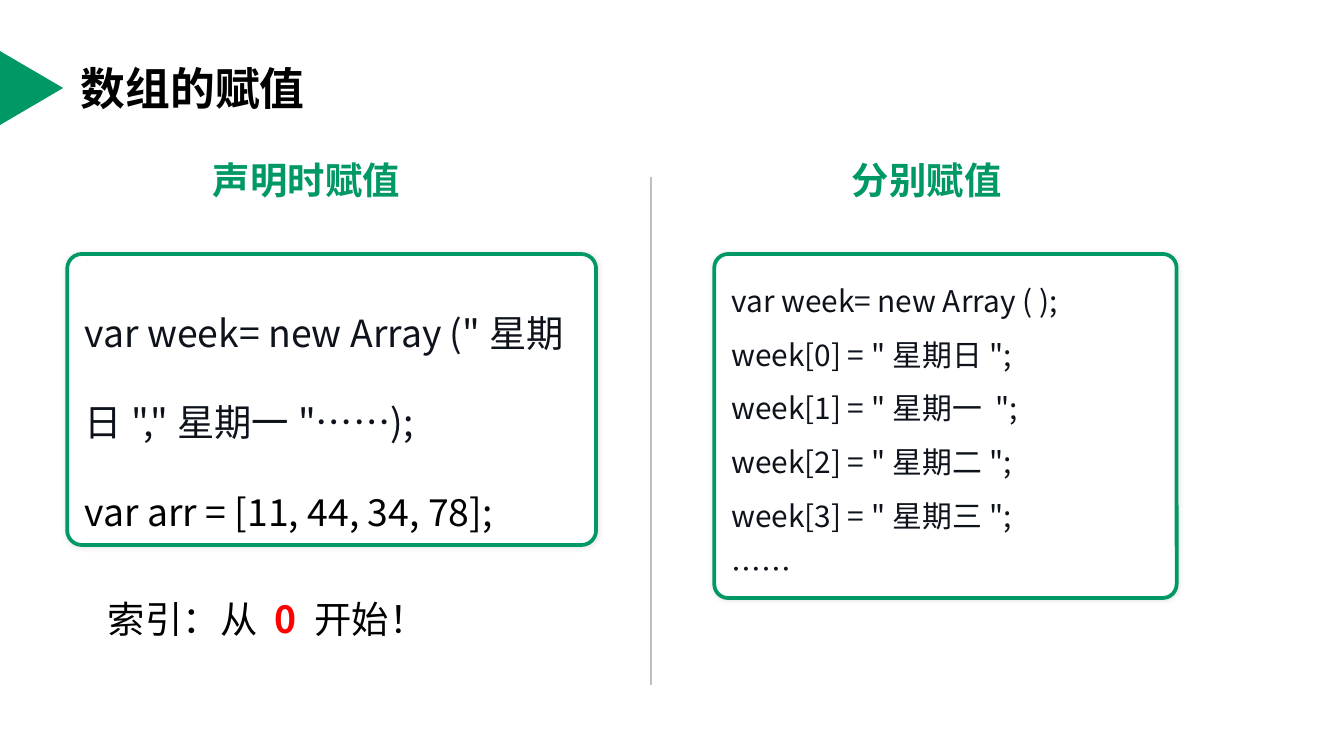
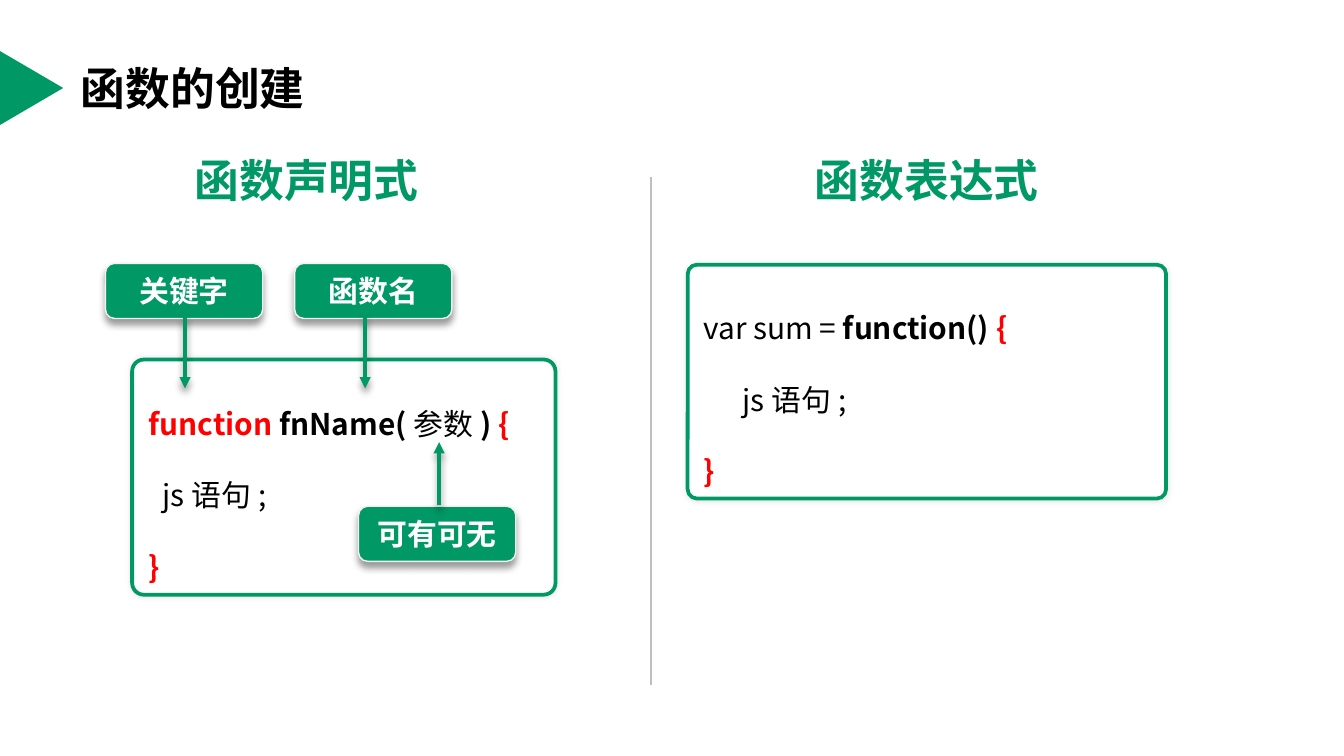
from dataclasses import dataclass
from typing import NamedTuple

from lxml import etree
from pptx import Presentation
from pptx import util as u
from pptx.dml.color import RGBColor
from pptx.enum import shapes, text
from pptx.oxml.ns import qn

HUES = {"green": "009966", "gray": "BFBFBF", "pale": "F2F2F2", "white": "FFFFFF",
        "black": "000000", "ink": "0D121B", "red": "FF0000"}
SANS, ARIAL = "Noto Sans CJK SC", "Arial"
LEFT, MID = text.PP_ALIGN.LEFT, text.PP_ALIGN.CENTER
ROUND = shapes.MSO_SHAPE.ROUNDED_RECTANGLE

deck = Presentation()
deck.slide_width = u.Inches(10)
deck.slide_height = deck.slide_width * 9 // 16
UNIT = deck.slide_width / 100  # the grid: 100 columns, with rows just as high


class Area(NamedTuple):
    """A place on the grid, in columns and rows."""
    col: float
    row: float
    wide: float
    high: float


class Span(NamedTuple):
    """A stretch of text in one colour and weight."""
    words: str
    hue: str = "black"
    bold: bool = False


class Shade(NamedTuple):
    """A drop shadow: blur and distance in points, strength in percent."""
    blur: float
    dist: float
    alpha: int


@dataclass
class Line:
    """A paragraph: its spans and its left margin in columns."""
    spans: list[Span]
    inset: float = 0


@dataclass
class Code:
    """A framed block of code."""
    area: Area
    lines: list[Line]
    size: int = 16
    pitch: float = 2
    curve: float = 0.05


@dataclass
class Tag:
    """A label and the arrow that leads from it."""
    words: str
    col: float
    row: float
    shaft: float  # column of the arrow
    start: float
    end: float


GLOW, DROP = Shade(3, 0, 10), Shade(4, 3, 40)
TITLE = Area(5, 3.85, 44.2, 5.3)
HEADS = [Area(col, 11, 31.5, 4.7) for col in (7.05, 53.2)]
TAG_WIDE, TAG_HIGH = 11.7, 4.1


def grid(*cells: float) -> list[u.Emu]:
    """Turn grid cells into lengths."""
    return [u.Emu(round(cell * UNIT)) for cell in cells]


def tint(hue: str) -> RGBColor:
    """Look up a colour."""
    return RGBColor.from_string(HUES[hue])


def cast(shape, shade: Shade | None = None) -> None:
    """Give a shape this shadow, or none at all."""
    prop = shape._element.spPr
    for old in prop.findall(qn("a:effectLst")):
        prop.remove(old)
    fx = etree.SubElement(prop, qn("a:effectLst"))
    if shade:
        outer = etree.SubElement(fx, qn("a:outerShdw"), blurRad=str(u.Pt(shade.blur)),
                                 dist=str(u.Pt(shade.dist)), dir="5400000",
                                 algn="ctr", rotWithShape="0")
        color = etree.SubElement(outer, qn("a:srgbClr"), val=HUES["black"])
        etree.SubElement(color, qn("a:alpha"), val=str(shade.alpha * 1000))


def write(shape, lines: list[Line], size: int, align=LEFT, pitch: float = 1,
          anchor=text.MSO_ANCHOR.MIDDLE, face: str = SANS) -> None:
    """Fill a shape with formatted paragraphs."""
    frame = shape.text_frame
    frame.word_wrap = True
    frame.auto_size = text.MSO_AUTO_SIZE.NONE
    frame.vertical_anchor = anchor
    for n, line in enumerate(lines):
        para = frame.add_paragraph() if n else frame.paragraphs[0]
        prop = para._p.get_or_add_pPr()
        prop.set("marL", str(grid(line.inset)[0]))
        prop.set("indent", "0")
        etree.SubElement(prop, qn("a:buNone"))
        para.alignment, para.line_spacing = align, pitch
        para.space_before = u.Pt(0)
        para.font.size, para.font.name = u.Pt(size), face
        etree.SubElement(para.font._rPr, qn("a:ea"), typeface=face)
        for span in line.spans:
            run = para.add_run()
            run.text = span.words
            run.font.bold = span.bold
            run.font.color.rgb = tint(span.hue)


def block(slide, kind, area: Area, fill: str, edge: str | None = None,
          width: float = 1, shade: Shade | None = None, curve: float | None = None):
    """Draw a filled preset shape."""
    shape = slide.shapes.add_shape(kind, *grid(*area))
    shape.fill.solid()
    shape.fill.fore_color.rgb = tint(fill)
    if edge:
        shape.line.color.rgb = tint(edge)
        shape.line.width = u.Pt(width)
    else:
        shape.line.fill.background()
    if curve is not None:
        shape.adjustments[0] = curve
    cast(shape, shade)
    return shape


def rule(slide, col: float, top: float, end: float, hue: str, width: float,
         shade: Shade | None = None, arrow: bool = False) -> None:
    """Draw an upright line, with an arrowhead at its end if asked."""
    link = slide.shapes.add_connector(shapes.MSO_CONNECTOR.STRAIGHT,
                                      *grid(col, top, col, end))
    link.line.color.rgb = tint(hue)
    link.line.width = u.Pt(width)
    if arrow:
        etree.SubElement(link.line._get_or_add_ln(), qn("a:tailEnd"), type="triangle")
    cast(link, shade)


def page(title: str, heads: list[str], size: int):
    """Start a slide with its title, mark, divider and two headings."""
    slide = deck.slides.add_slide(deck.slide_layouts[3])
    mark = block(slide, shapes.MSO_SHAPE.ISOSCELES_TRIANGLE,
                 Area(-0.4, 4.2, 5.5, 4.7), "green")
    mark.rotation = 90
    rule(slide, 48.43, 13.2, 51, "gray", 0.75)
    jobs = [(TITLE, title, 24, "black", LEFT)]
    jobs += [(area, head, size, "green", MID) for area, head in zip(HEADS, heads)]
    for holder, (area, words, pts, hue, align) in zip(slide.placeholders, jobs):
        holder.left, holder.top, holder.width, holder.height = grid(*area)
        write(holder, [Line([Span(words, hue, True)])], pts, align)
    return slide


def frame(slide, code: Code) -> None:
    """Draw a block of code in a rounded frame."""
    shape = block(slide, ROUND, code.area, "white", "green", 2, GLOW, code.curve)
    write(shape, code.lines, code.size, pitch=code.pitch, anchor=text.MSO_ANCHOR.TOP)


def label(slide, tag: Tag) -> None:
    """Draw a label and its arrow."""
    shape = block(slide, ROUND, Area(tag.col, tag.row, TAG_WIDE, TAG_HIGH),
                  "green", "pale", 0.75, DROP, 0.167)
    write(shape, [Line([Span(tag.words, "white", True)])], 16, MID, face=ARIAL)
    rule(slide, tag.shaft, tag.start, tag.end, "green", 2, DROP, True)


# Slide 1: giving values to arrays
slide = page("数组的赋值", ["声明时赋值", "分别赋值"], 20)
days = ["日", "一 ", "二", "三"]
steps = ["var week= new Array ( );"]
steps += [f'week[{n}] = "星期{day}";' for n, day in enumerate(days)] + ["……"]
frame(slide, Code(Area(53.15, 18.9, 34.4, 25.6),
                  [Line([Span(step, "ink")]) for step in steps], pitch=1.5, curve=0.04))
frame(slide, Code(Area(5, 18.9, 39.35, 21.65), [
    Line([Span('var week= new Array ("星期日","星期一"……);', "ink")]),
    Line([Span("var arr = [11, 44, 34, 78];")])], size=20))
note = slide.shapes.add_textbox(*grid(7.05, 43.75, 27.8, 4.6))
write(note, [Line([Span("索引：从 "), Span("0 ", "red", True), Span("开始！")])], 20)

# Slide 2: making functions
slide = page("函数的创建", ["函数声明式", "函数表达式"], 24)
brace, close = Span("{", "red", True), Line([Span("}", "red", True)])
body = [Span("js语句;")]
frame(slide, Code(Area(9.83, 26.75, 31.5, 17.5), [
    Line([Span("function ", "red", True), Span("fnName(", bold=True), Span("参数"),
          Span(") ", bold=True), brace]),
    Line(body, 1), close]))
frame(slide, Code(Area(51.17, 19.7, 35.6, 17.4), [
    Line([Span("var sum = "), Span("function() ", bold=True), brace]),
    Line(body, 2.9), close], curve=0.04))
for tag in (Tag("关键字", 7.85, 19.6, 13.77, 23.4, 28.9),
            Tag("函数名", 21.93, 19.6, 27.17, 23.4, 28.9),
            Tag("可有可无", 26.68, 37.67, 32.67, 37.6, 32.9)):
    label(slide, tag)

deck.save("out.pptx")
